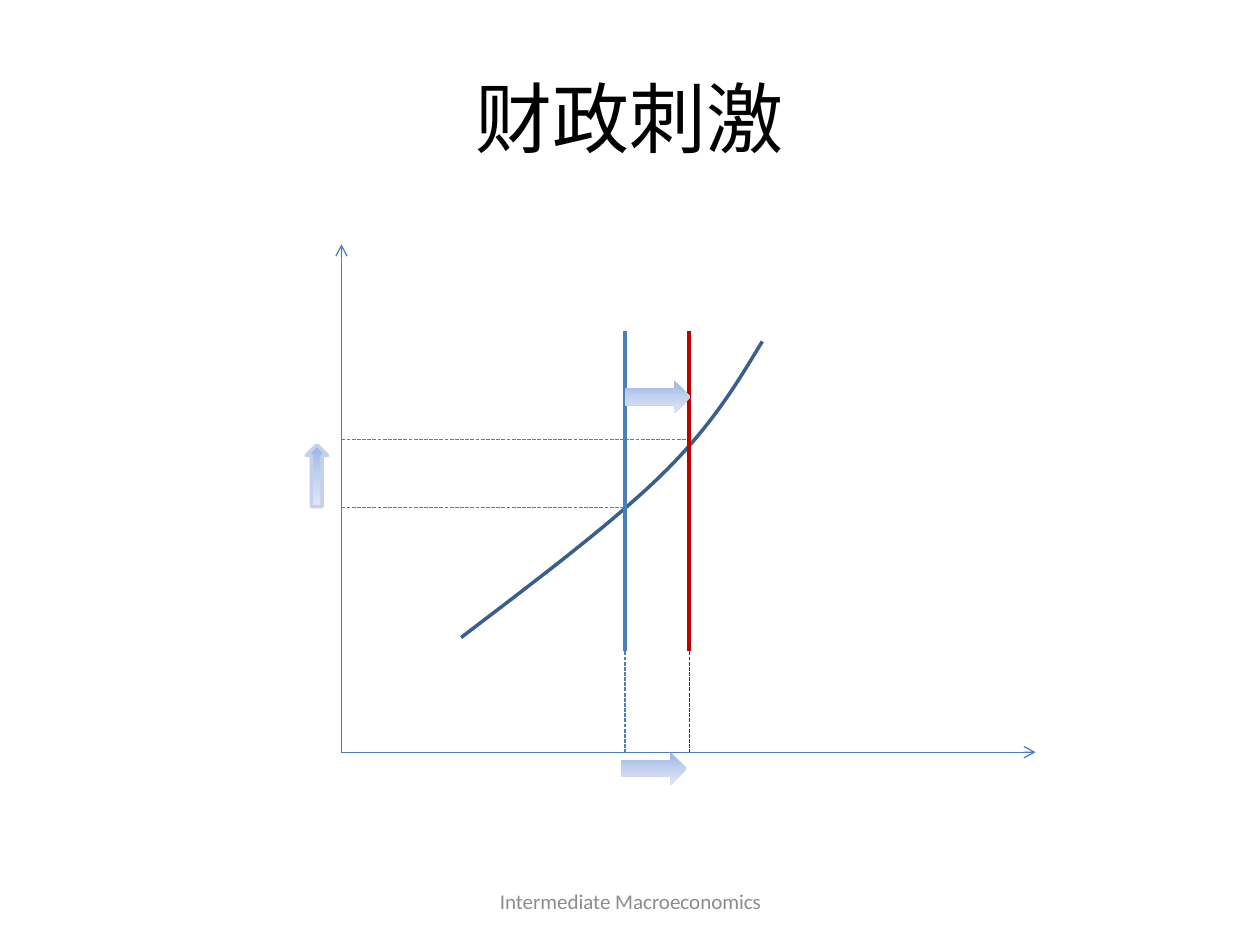
from copy import deepcopy

from pptx import Presentation
from pptx.dml.color import RGBColor
from pptx.enum.dml import MSO_LINE
from pptx.enum.shapes import MSO_CONNECTOR, MSO_SHAPE
from pptx.enum.text import MSO_ANCHOR, PP_ALIGN
from pptx.oxml.ns import qn
from pptx.util import Inches, Pt
from lxml import etree

DASH = MSO_LINE.SQUARE_DOT
STRAIGHT = MSO_CONNECTOR.STRAIGHT
RIGHT_ARROW = MSO_SHAPE.RIGHT_ARROW
UP_ARROW = MSO_SHAPE.UP_ARROW
MIDDLE = MSO_ANCHOR.MIDDLE
CENTER = PP_ALIGN.CENTER

FONT = "Calibri"
COLORS = {
    "title": "000000",
    "footer": "8C8C8C",
    "axis": "4B7EBC",
    "curve": "3A5F8C",
    "shifted": "C00000",
    "arrow_start": "9AB5E4",
    "arrow_middle": "C2D1ED",
    "arrow_end": "E1E8F5",
}

ORIGIN_X, ORIGIN_Y = 2.71, 5.97
AXIS_RIGHT, AXIS_TOP = 8.22, 1.94
OLD_X, NEW_X = 4.96, 5.47
OLD_Y, NEW_Y = 4.03, 3.49
LINE_TOP, LINE_BOTTOM = 2.63, 5.17
CURVE_START = (6.05, 2.71)
CURVE_PARTS = [
    ((5.85, 3.04), (5.65, 3.38), (5.25, 3.77)),
    ((4.85, 4.16), (4.25, 4.61), (3.66, 5.06)),
]
CURVE_STEPS = 24


def color(name):
    return RGBColor.from_string(COLORS[name])


def write_text(shape, text, size, color_name):
    frame = shape.text_frame
    frame.word_wrap = True
    frame.vertical_anchor = MIDDLE
    para = frame.paragraphs[0]
    para.alignment = CENTER
    span = para.add_run()
    span.text = text
    span.font.size = Pt(size)
    span.font.name = FONT
    span.font.color.rgb = color(color_name)


def place(shape, left, top, width, height):
    shape.left, shape.top = Inches(left), Inches(top)
    shape.width, shape.height = Inches(width), Inches(height)


def add_line(slide, start, end, color_name="axis", width=0.75, dashed=False, arrow=False):
    line = slide.shapes.add_connector(STRAIGHT, *map(Inches, (*start, *end)))
    line.line.color.rgb = color(color_name)
    line.line.width = Pt(width)
    if dashed:
        line.line.dash_style = DASH
    properties = line._element.spPr
    if arrow:
        outline = properties.find(qn("a:ln"))
        etree.SubElement(outline, qn("a:tailEnd"), type="arrow")
    etree.SubElement(properties, qn("a:effectLst"))


def bezier_point(points, t):
    weights = ((1 - t) ** 3, 3 * t * (1 - t) ** 2, 3 * t**2 * (1 - t), t**3)
    return tuple(sum(w * p[axis] for w, p in zip(weights, points)) for axis in (0, 1))


def add_supply_curve(slide):
    points = [CURVE_START]
    for part in CURVE_PARTS:
        controls = (points[-1], *part)
        points += [bezier_point(controls, step / CURVE_STEPS)
                   for step in range(1, CURVE_STEPS + 1)]
    start, *rest = [(Inches(x), Inches(y)) for x, y in points]
    builder = slide.shapes.build_freeform(*start)
    builder.add_line_segments(rest, close=False)
    curve = builder.convert_to_shape()
    curve.shadow.inherit = False
    curve.fill.background()
    curve.line.color.rgb = color("curve")
    curve.line.width = Pt(2)


def add_block_arrow(slide, kind, left, top, width, height, outlined=False):
    arrow = slide.shapes.add_shape(kind, *map(Inches, (left, top, width, height)))
    arrow.shadow.inherit = False
    arrow.fill.gradient()
    arrow.fill.gradient_angle = 270
    stops = arrow._element.spPr.find(qn("a:gradFill")).find(qn("a:gsLst"))
    stops.insert(1, deepcopy(stops[0]))
    stops[1].set("pos", "50000")
    for stop, name in zip(arrow.fill.gradient_stops, ("arrow_start", "arrow_middle", "arrow_end")):
        stop.color.rgb = color(name)
    if outlined:
        arrow.line.color.rgb = color("arrow_middle")
        arrow.line.width = Pt(2)
    else:
        arrow.line.fill.background()


def main():
    deck = Presentation()
    deck.slide_width, deck.slide_height = Inches(10), Inches(7.5)
    slide = deck.slides.add_slide(deck.slide_layouts[5])

    title = slide.shapes.title
    place(title, 0.5, 0.3, 9, 1.25)
    write_text(title, "财政刺激", 44, "title")
    footer = slide.shapes.add_textbox(*map(Inches, (3.42, 6.95, 3.17, 0.4)))
    write_text(footer, "Intermediate Macroeconomics", 12, "footer")

    origin = (ORIGIN_X, ORIGIN_Y)
    add_line(slide, origin, (AXIS_RIGHT, ORIGIN_Y), arrow=True)
    add_line(slide, origin, (ORIGIN_X, AXIS_TOP), arrow=True)
    add_supply_curve(slide)

    for x, y, name in ((OLD_X, OLD_Y, "axis"), (NEW_X, NEW_Y, "shifted")):
        add_line(slide, (ORIGIN_X, y), (x, y), dashed=True)
        add_line(slide, (x, LINE_TOP), (x, LINE_BOTTOM), name, width=2)
        add_line(slide, (x, LINE_BOTTOM), (x, ORIGIN_Y), name, dashed=True)

    add_block_arrow(slide, RIGHT_ARROW, 4.93, ORIGIN_Y, 0.52, 0.26)
    add_block_arrow(slide, UP_ARROW, 2.43, 3.53, 0.17, 0.49, outlined=True)
    add_block_arrow(slide, RIGHT_ARROW, OLD_X, 3.02, 0.52, 0.26)
    deck.save("out.pptx")


if __name__ == "__main__":
    main()
